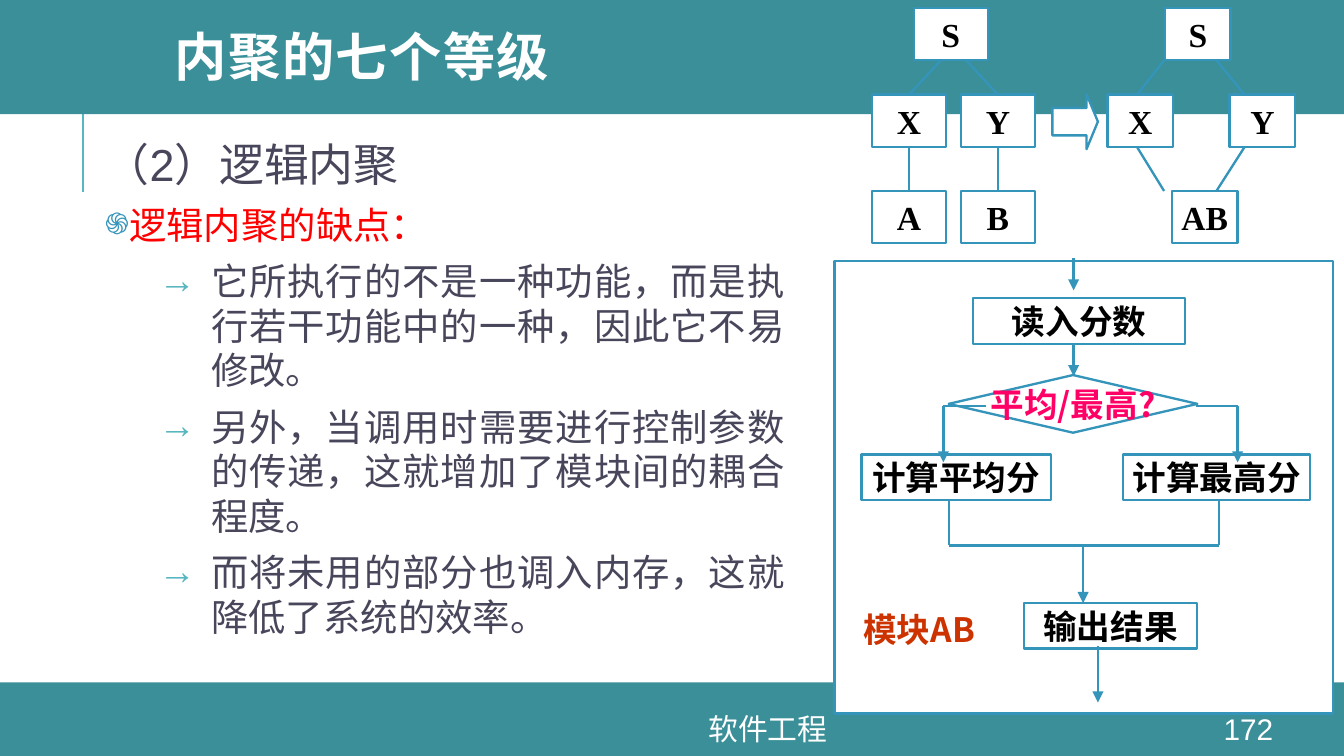
from lxml.etree import SubElement
from pptx import Presentation
from pptx.dml.color import RGBColor
from pptx.enum.shapes import MSO_CONNECTOR, MSO_SHAPE
from pptx.enum.text import MSO_ANCHOR, MSO_AUTO_SIZE, PP_ALIGN
from pptx.oxml.ns import qn
from pptx.util import Cm, Pt

COLORS = {
    "band": "3A8F98", "accent": "3494BA", "rule": "58B6C0", "body": "48465B",
    "white": "FFFFFF", "black": "000000", "red": "FF0000", "pink": "FF0066", "rust": "CC3300",
}
SANS, SERIF, CJK = "Arial", "Times New Roman", "Noto Sans CJK SC"

TITLE = "内聚的七个等级"
HEADING = "（2）逻辑内聚"
DRAWBACKS = "逻辑内聚的缺点："
DRAWBACK_ITEMS = [
    "它所执行的不是一种功能，而是执行若干功能中的一种，因此它不易修改。",
    "另外，当调用时需要进行控制参数的传递，这就增加了模块间的耦合程度。",
    "而将未用的部分也调入内存，这就降低了系统的效率。",
]
BANDS = [(0, 12.9, 25.4, 1.39), (0, 0, 25.4, 2.16)]
FOOTERS = [("软件工程", (6.63, 13.49, 15.77, 0.58)), ("172", (22.58, 13.49, 2.03, 0.58))]

MODULE_HEIGHT = 0.99
MODULE_ROWS = [0.15, 1.79, 3.61]
MODULE_TREES = [
    {
        "width": 1.4,
        "modules": [("S", 17.27, 0), ("X", 16.48, 1), ("Y", 18.16, 1), ("A", 16.48, 2), ("B", 18.16, 2)],
        "calls": [(17.78, 17.18, 0), (18.26, 18.86, 0), (17.18, 17.18, 1), (18.86, 18.86, 1)],
    },
    {
        "width": 1.24,
        "modules": [("S", 22.02, 0), ("X", 20.93, 1), ("Y", 23.24, 1), ("AB", 22.15, 2)],
        "calls": [(22.0, 21.49, 0), (22.99, 23.52, 0), (21.49, 22.0, 1), (23.52, 22.99, 1)],
    },
]
MERGE_ARROW = (19.89, 1.78, 0.86, 1.04)

FLOW_FRAME = (15.77, 4.93, 9.42, 8.56)
STEP_HEIGHT = 0.86
FLOW_STEPS = [
    ("读入分数", 18.39, 5.64, 4.01),
    ("计算平均分", 16.28, 8.59, 3.58),
    ("输出结果", 19.35, 11.4, 3.28),
    ("计算最高分", 21.23, 8.59, 3.53),
]
DECISION = ("平均/最高?", (17.93, 7.09, 4.7, 1.09))
FLOW_ARROWS = [
    (20.29, 4.88, 20.29, 5.49), (20.29, 6.5, 20.29, 7.11),
    (17.83, 7.67, 17.83, 8.74), (23.39, 7.67, 23.39, 8.74),
    (20.47, 10.31, 20.47, 11.4), (20.75, 12.22, 20.75, 13.28),
]
FLOW_LINES = [
    (17.83, 7.67, 18.64, 7.67), (22.61, 7.67, 23.39, 7.67),
    (17.93, 10.31, 23.04, 10.31), (17.93, 9.45, 17.93, 10.31), (23.04, 9.45, 23.04, 10.31),
]
MODULE_LABEL = ("模块AB", (16.05, 11.38, 2.64, 1.02))


def rgb(name):
    return RGBColor.from_string(COLORS[name])


def add_run(paragraph, text, size, font, color, bold=False):
    run = paragraph.add_run()
    run.text = text
    run.font.size, run.font.name, run.font.bold = Pt(size), font, bold
    run.font.color.rgb = rgb(color)
    return run


def place(placeholder, box):
    placeholder.left, placeholder.top, placeholder.width, placeholder.height = map(Cm, box)


def set_insets(frame, inset):
    frame.margin_left = frame.margin_right = frame.margin_top = frame.margin_bottom = Cm(inset)


def add_block(shapes, kind, box, fill="white", line="accent"):
    block = shapes.add_shape(kind, *map(Cm, box))
    block.shadow.inherit = False
    block.fill.solid()
    block.fill.fore_color.rgb = rgb(fill)
    if line:
        block.line.color.rgb = rgb(line)
        block.line.width = Pt(1.25)
    else:
        block.line.fill.background()
    return block


def write_centered(shape, text, size, font, color, bold=True, wrap=True):
    frame = shape.text_frame
    frame.word_wrap = wrap
    frame.vertical_anchor = MSO_ANCHOR.MIDDLE
    paragraph = frame.paragraphs[0]
    paragraph.alignment = PP_ALIGN.CENTER
    add_run(paragraph, text, size, font, color, bold)


def add_line(shapes, ends, color="accent", width=1.25, arrow=False):
    line = shapes.add_connector(MSO_CONNECTOR.STRAIGHT, *map(Cm, ends))
    line.line.color.rgb = rgb(color)
    line.line.width = Pt(width)
    if arrow:
        SubElement(line.line._get_or_add_ln(), qn("a:tailEnd"), type="triangle")
    SubElement(line._element.spPr, qn("a:effectLst"))


def set_bullet(paragraph, margin, indent, mark=None, color=None, percent=100):
    properties = paragraph._p.get_or_add_pPr()
    properties.set("marL", str(Cm(margin)))
    properties.set("indent", str(Cm(indent)))
    if not mark:
        SubElement(properties, qn("a:buNone"))
        return
    bullet_color = SubElement(properties, qn("a:buClr"))
    SubElement(bullet_color, qn("a:srgbClr"), val=COLORS[color])
    SubElement(properties, qn("a:buSzPct"), val=str(percent * 1000))
    SubElement(properties, qn("a:buFont"), typeface=SANS)
    SubElement(properties, qn("a:buChar"), char=mark)


def add_title(slide):
    title = slide.shapes.title
    title._element.getparent().append(title._element)
    place(title, (3.05, 0, 21.56, 2.31))
    frame = title.text_frame
    frame.auto_size = MSO_AUTO_SIZE.NONE
    frame.vertical_anchor = MSO_ANCHOR.MIDDLE
    paragraph = frame.paragraphs[0]
    paragraph.alignment = PP_ALIGN.LEFT
    paragraph.line_spacing = 0.8
    run = add_run(paragraph, TITLE, 28, "Montserrat", "white", True)
    run.font._element.set("spc", "80")


def add_body(slide):
    body = slide.placeholders[1]
    body._element.getparent().append(body._element)
    place(body, (1.85, 2.46, 13.11, 10.57))
    frame = body.text_frame
    frame.auto_size = MSO_AUTO_SIZE.NONE
    set_insets(frame, 0.13)
    entries = [
        (HEADING, 24, "body", 0, (0, 0)),
        (DRAWBACKS, 20, "red", 0, (0.18, -1.19, "֍", "accent", 80)),
    ] + [(item, 20, "body", 1, (2.01, -0.99, "→", "rule")) for item in DRAWBACK_ITEMS]
    for index, (text, size, color, level, bullet) in enumerate(entries):
        paragraph = frame.add_paragraph() if index else frame.paragraphs[0]
        paragraph.level = level
        set_bullet(paragraph, *bullet)
        paragraph.alignment = PP_ALIGN.JUSTIFY
        paragraph.space_before = Pt(6 if index else 0)
        add_run(paragraph, text, size, SANS, color)


def add_module_trees(slide):
    shapes = slide.shapes.add_group_shape().shapes
    for tree in MODULE_TREES:
        for name, left, row in tree["modules"]:
            box = (left, MODULE_ROWS[row], tree["width"], MODULE_HEIGHT)
            module = add_block(shapes, MSO_SHAPE.RECTANGLE, box)
            set_insets(module.text_frame, 0)
            write_centered(module, name, 18, SERIF, "black")
        for start, end, row in tree["calls"]:
            add_line(shapes, (start, MODULE_ROWS[row] + MODULE_HEIGHT, end, MODULE_ROWS[row + 1]))
    arrow = add_block(shapes, MSO_SHAPE.RIGHT_ARROW, MERGE_ARROW)
    arrow.adjustments[0], arrow.adjustments[1] = 0.5, 0.25


def add_flowchart(slide):
    shapes = slide.shapes.add_group_shape().shapes
    add_block(shapes, MSO_SHAPE.RECTANGLE, FLOW_FRAME)
    for text, left, top, width in FLOW_STEPS:
        step = add_block(shapes, MSO_SHAPE.RECTANGLE, (left, top, width, STEP_HEIGHT))
        write_centered(step, text, 18, CJK, "black", wrap=False)
    question, box = DECISION
    write_centered(add_block(shapes, MSO_SHAPE.DIAMOND, box), question, 18, CJK, "pink", wrap=False)
    for ends in FLOW_ARROWS:
        add_line(shapes, ends, arrow=True)
    for ends in FLOW_LINES:
        add_line(shapes, ends)
    text, box = MODULE_LABEL
    label = shapes.add_textbox(*map(Cm, box))
    write_centered(label, text, 18, CJK, "rust")
    label.text_frame.vertical_anchor = MSO_ANCHOR.TOP


def main():
    deck = Presentation()
    deck.slide_width, deck.slide_height = Cm(25.4), Cm(14.29)
    slide = deck.slides.add_slide(deck.slide_layouts[1])
    add_line(slide.shapes, (1.57, 3.63, 1.57, 1.73), "rule", 1.5)
    for band in BANDS:
        add_block(slide.shapes, MSO_SHAPE.RECTANGLE, band, "band", None)
    add_title(slide)
    add_body(slide)
    for text, box in FOOTERS:
        write_centered(slide.shapes.add_textbox(*map(Cm, box)), text, 16, SANS, "white", False)
    add_module_trees(slide)
    add_flowchart(slide)
    deck.save("out.pptx")


if __name__ == "__main__":
    main()
